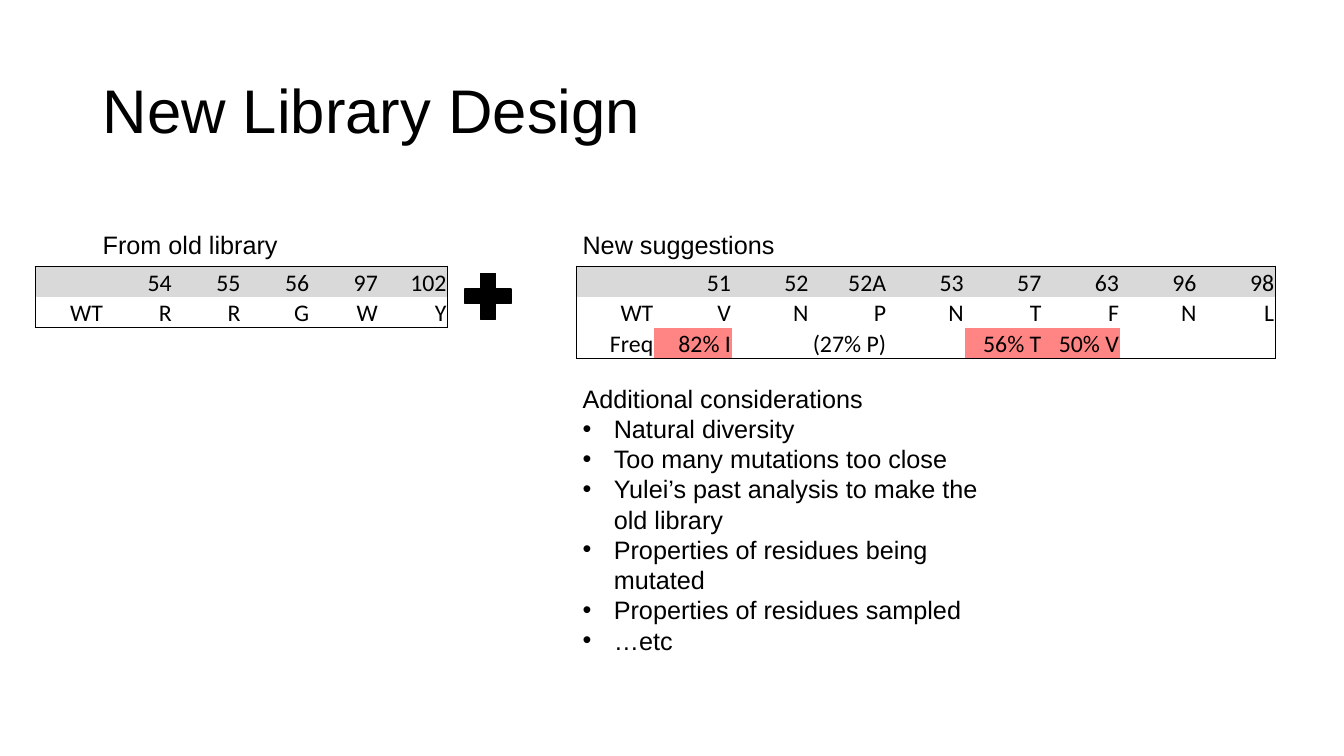
from lxml import etree
from pptx import Presentation
from pptx.dml.color import RGBColor
from pptx.enum.shapes import MSO_SHAPE
from pptx.enum.text import MSO_ANCHOR, PP_ALIGN
from pptx.oxml.ns import qn
from pptx.util import Inches, Pt

PLUS = MSO_SHAPE.MATH_PLUS
BOTTOM, MIDDLE = MSO_ANCHOR.BOTTOM, MSO_ANCHOR.MIDDLE
RIGHT = PP_ALIGN.RIGHT
COLOURS = {"ink": "000000", "paper": "FFFFFF", "header": "D9D9D9", "highlight": "FF8585"}
FORMATS = {
    "title": {"size": Pt(44), "name": "Arial"},
    "body": {"size": Pt(18), "name": "Arial"},
    "cell": {"size": Pt(17), "name": "Calibri"},
}
CELL_FORMAT = {
    "vertical_anchor": BOTTOM,
    "margin_left": Inches(0.01),
    "margin_right": Inches(0.01),
    "margin_top": Inches(0.01),
    "margin_bottom": 0,
}
ROW_HEIGHT = 0.3
INDENT = Inches(0.31)

OLD_LIBRARY = [
    ["", "54", "55", "56", "97", "102"],
    ["WT", "R", "R", "G", "W", "Y"],
]
SUGGESTIONS = [
    ["", "51", "52", "52A", "53", "57", "63", "96", "98"],
    ["WT", "V", "N", "P", "N", "T", "F", "N", "L"],
    ["Freq", "82% I", "", "(27% P)", "", "56% T", "50% V", "", ""],
]
HIGHLIGHTED = {"82% I", "56% T", "50% V"}
CONSIDERATIONS = [
    "Natural diversity",
    "Too many mutations too close",
    "Yulei’s past analysis to make the old library",
    "Properties of residues being mutated",
    "Properties of residues sampled",
    "…etc",
]


def colour(name):
    return RGBColor.from_string(COLOURS[name])


def apply(target, values):
    for key, value in values.items():
        setattr(target, key, value)


class LibrarySlide:
    def __init__(self, deck):
        self.page = deck.slides.add_slide(deck.slide_layouts[6])

    def add_span(self, para, text, style):
        span = para.add_run()
        span.text = text
        apply(span.font, FORMATS[style])
        span.font.color.rgb = colour("ink")

    def text(self, left, top, width, height, heading, style="body", bullets=()):
        box = self.page.shapes.add_textbox(*map(Inches, (left, top, width, height)))
        frame = box.text_frame
        frame.word_wrap = True
        self.add_span(frame.paragraphs[0], heading, style)
        for bullet in bullets:
            para = frame.add_paragraph()
            self.add_span(para, bullet, style)
            properties = para._p.get_or_add_pPr()
            properties.set("marL", str(INDENT))
            properties.set("indent", str(-INDENT))
            etree.SubElement(properties, qn("a:buFont")).set("typeface", "Arial")
            etree.SubElement(properties, qn("a:buChar")).set("char", "•")
        return frame

    def title(self, text):
        frame = self.text(0.92, 0.4, 11.5, 1.45, text, "title")
        frame.vertical_anchor = MIDDLE
        frame.paragraphs[0].line_spacing = 0.9

    def plus(self, left, top, size):
        shape = self.page.shapes.add_shape(PLUS, *map(Inches, (left, top, size, size)))
        shape.shadow.inherit = False
        shape.fill.solid()
        shape.fill.fore_color.rgb = colour("ink")
        shape.line.color.rgb = colour("ink")
        shape.line.width = Pt(1)

    def borders(self, cell, sides):
        properties = cell._tc.get_or_add_tcPr()
        for position, (side, outer) in enumerate(sides.items()):
            line = etree.Element(qn("a:ln" + side), w=str(Pt(1)))
            if outer:
                fill = etree.SubElement(line, qn("a:solidFill"))
                etree.SubElement(fill, qn("a:srgbClr")).set("val", COLOURS["ink"])
            else:
                etree.SubElement(line, qn("a:noFill"))
            properties.insert(position, line)

    def table(self, left, top, width, rows):
        last_row, last_column = len(rows) - 1, len(rows[0]) - 1
        table = self.page.shapes.add_table(
            len(rows), len(rows[0]), Inches(left), Inches(top),
            Inches(width), Inches(ROW_HEIGHT * len(rows)),
        ).table
        apply(table, {"first_row": False, "horz_banding": False})
        for r, values in enumerate(rows):
            for c, value in enumerate(values):
                cell = table.cell(r, c)
                apply(cell, CELL_FORMAT)
                para = cell.text_frame.paragraphs[0]
                para.alignment = RIGHT
                self.add_span(para, value, "cell")
                fill = "header" if r == 0 else "highlight" if value in HIGHLIGHTED else "paper"
                cell.fill.solid()
                cell.fill.fore_color.rgb = colour(fill)
                self.borders(cell, {
                    "L": c == 0, "R": c == last_column,
                    "T": r == 0, "B": r == last_row,
                })


def main():
    deck = Presentation()
    deck.slide_width, deck.slide_height = Inches(13.33), Inches(7.5)
    slide = LibrarySlide(deck)
    slide.title("New Library Design")
    slide.text(0.92, 2.23, 2.94, 0.4, "From old library")
    slide.table(0.35, 2.64, 4.09, OLD_LIBRARY)
    slide.plus(4.53, 2.63, 0.62)
    slide.text(5.68, 2.23, 2.94, 0.4, "New suggestions")
    slide.table(5.72, 2.64, 6.93, SUGGESTIONS)
    slide.text(5.68, 3.75, 4.24, 2.83, "Additional considerations", bullets=CONSIDERATIONS)
    deck.save("out.pptx")


if __name__ == "__main__":
    main()
